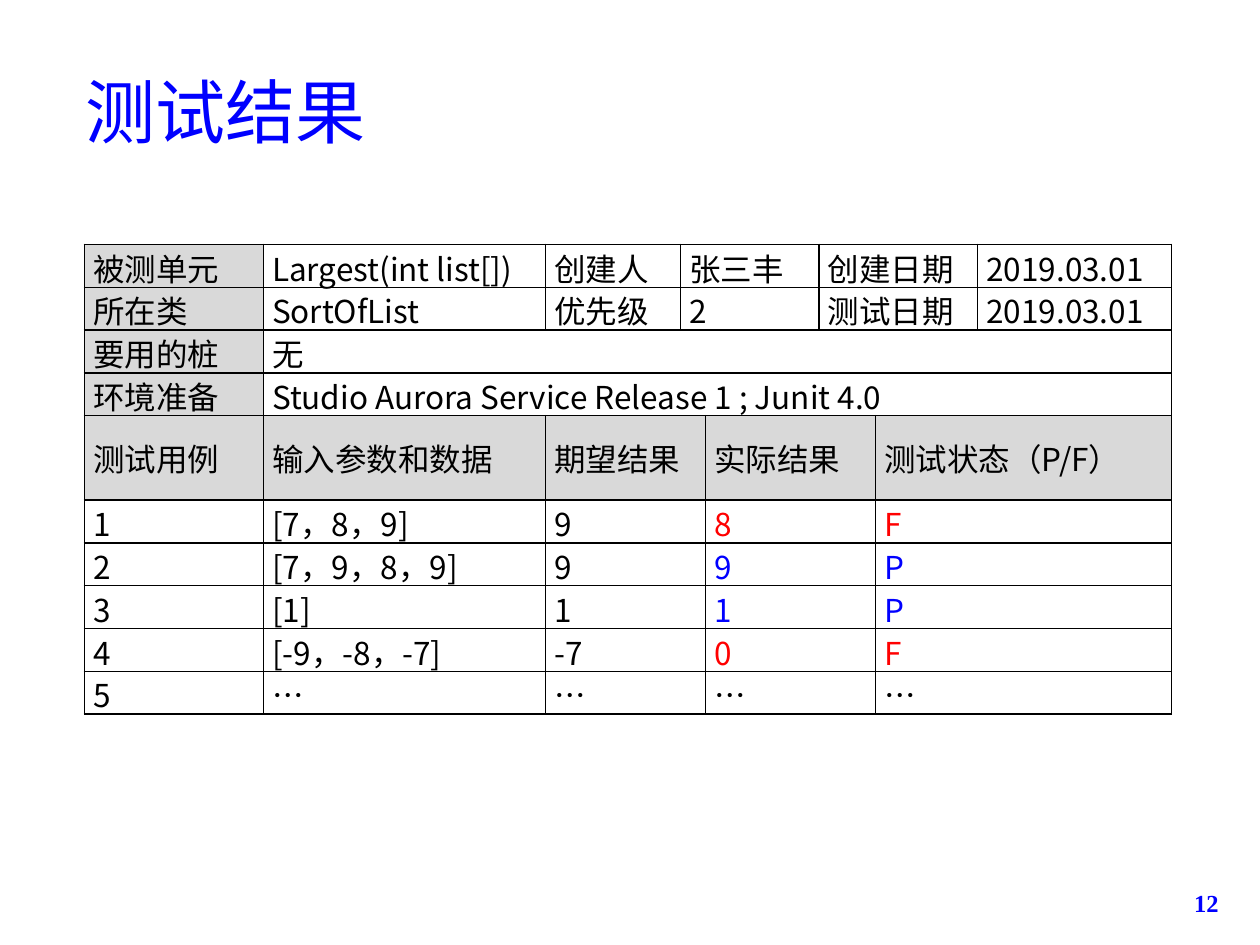
from lxml.etree import SubElement
from pptx import Presentation
from pptx.dml.color import RGBColor
from pptx.enum.text import MSO_ANCHOR, PP_ALIGN
from pptx.oxml.ns import qn
from pptx.util import Inches, Pt

BLACK = RGBColor(0, 0, 0)
BLUE = RGBColor(0, 0, 255)
RED = RGBColor(255, 0, 0)
GRAY = RGBColor(0xD9, 0xD9, 0xD9)
SANS = "Noto Sans CJK SC"
SERIF = "Times New Roman"

TITLE = "测试结果"
PAGE_NUMBER = "12"
COLUMN_WIDTHS = [1.42, 2.24, 1.07, 0.2, 0.9, 0.45, 0.81, 1.54]
ROW_HEIGHT, HEADING_HEIGHT = 0.34, 0.67

# Each layout lists how many grid columns every cell of a row covers.
INFO, WIDE, CASE = (1, 1, 1, 2, 2, 1), (1, 7), (1, 1, 2, 2, 2)
HEADING_ROW = 4
ROWS = [
    (INFO, ["被测单元", "Largest(int list[])", "创建人", "张三丰", "创建日期", "2019.03.01"]),
    (INFO, ["所在类", "SortOfList", "优先级", "2", "测试日期", "2019.03.01"]),
    (WIDE, ["要用的桩", "无"]),
    (WIDE, ["环境准备", "Studio Aurora Service Release 1 ; Junit 4.0"]),
    (CASE, ["测试用例", "输入参数和数据", "期望结果", "实际结果", "测试状态（P/F）"]),
    (CASE, ["1", "[7，8，9]", "9", "8", "F"]),
    (CASE, ["2", "[7，9，8，9]", "9", "9", "P"]),
    (CASE, ["3", "[1]", "1", "1", "P"]),
    (CASE, ["4", "[-9，-8，-7]", "-7", "0", "F"]),
    (CASE, ["5", "…", "…", "…", "…"]),
]
STATUS_COLORS = {"F": RED, "P": BLUE}


def write(frame, text, size, font=SANS, color=BLACK, align=PP_ALIGN.LEFT, bold=False):
    """Put one formatted line of text into a text frame."""
    frame.word_wrap = True
    para = frame.paragraphs[0]
    para.alignment = align
    span = para.add_run()
    span.text = text
    span.font.size = Pt(size)
    span.font.name = font
    span.font.bold = bold
    span.font.color.rgb = color
    SubElement(span.font._element, qn("a:ea"), typeface=font)


def add_text(page, place, text, anchor=MSO_ANCHOR.TOP, **style):
    """Add a text box at left, top, width, height in inches."""
    box = page.shapes.add_textbox(*(Inches(value) for value in place))
    box.text_frame.vertical_anchor = anchor
    write(box.text_frame, text, **style)


def add_borders(cell):
    """Draw a thin black line on all four sides of a cell."""
    properties = cell._tc.get_or_add_tcPr()
    for index, side in enumerate(("lnL", "lnR", "lnT", "lnB")):
        line = properties.makeelement(qn(f"a:{side}"), {"w": str(Pt(1))})
        fill = SubElement(line, qn("a:solidFill"))
        SubElement(fill, qn("a:srgbClr"), val=str(BLACK))
        properties.insert(index, line)


def add_result_table(page):
    """Build the test report table with its merged cells."""
    heights = [HEADING_HEIGHT if row == HEADING_ROW else ROW_HEIGHT for row in range(len(ROWS))]
    frame = page.shapes.add_table(
        len(ROWS), len(COLUMN_WIDTHS), Inches(0.67), Inches(1.94),
        Inches(sum(COLUMN_WIDTHS)), Inches(sum(heights)))
    table = frame.table
    table.first_row = table.horz_banding = False
    for column, width in zip(table.columns, COLUMN_WIDTHS):
        column.width = Inches(width)
    for row, height in zip(table.rows, heights):
        row.height = Inches(height)
    for cell in table.iter_cells():
        cell.fill.background()
        cell.margin_left = cell.margin_right = Inches(0.07)
        cell.margin_top = cell.margin_bottom = 0
        cell.vertical_anchor = MSO_ANCHOR.MIDDLE
        add_borders(cell)

    for row, (spans, texts) in enumerate(ROWS):
        status_color = STATUS_COLORS.get(texts[-1], BLACK)
        column = 0
        for index, (span, text) in enumerate(zip(spans, texts)):
            cell = table.cell(row, column)
            if span > 1:
                cell.merge(table.cell(row, column + span - 1))
            if row == HEADING_ROW or (row < HEADING_ROW and index == 0):
                cell.fill.solid()
                cell.fill.fore_color.rgb = GRAY
            color = status_color if index >= 3 else BLACK
            write(cell.text_frame, text, size=18, color=color, align=PP_ALIGN.JUSTIFY)
            column += span


deck = Presentation()
deck.slide_width, deck.slide_height = Inches(10), Inches(7.5)
page = deck.slides.add_slide(deck.slide_layouts[6])
add_text(page, (0.58, 0.25, 8.5, 1.25), TITLE, anchor=MSO_ANCHOR.MIDDLE, size=40, color=BLUE)
add_result_table(page)
add_text(page, (9.1, 7, 0.67, 0.5), PAGE_NUMBER, size=14, font=SERIF, color=BLUE,
         align=PP_ALIGN.RIGHT, bold=True)
deck.save("out.pptx")
